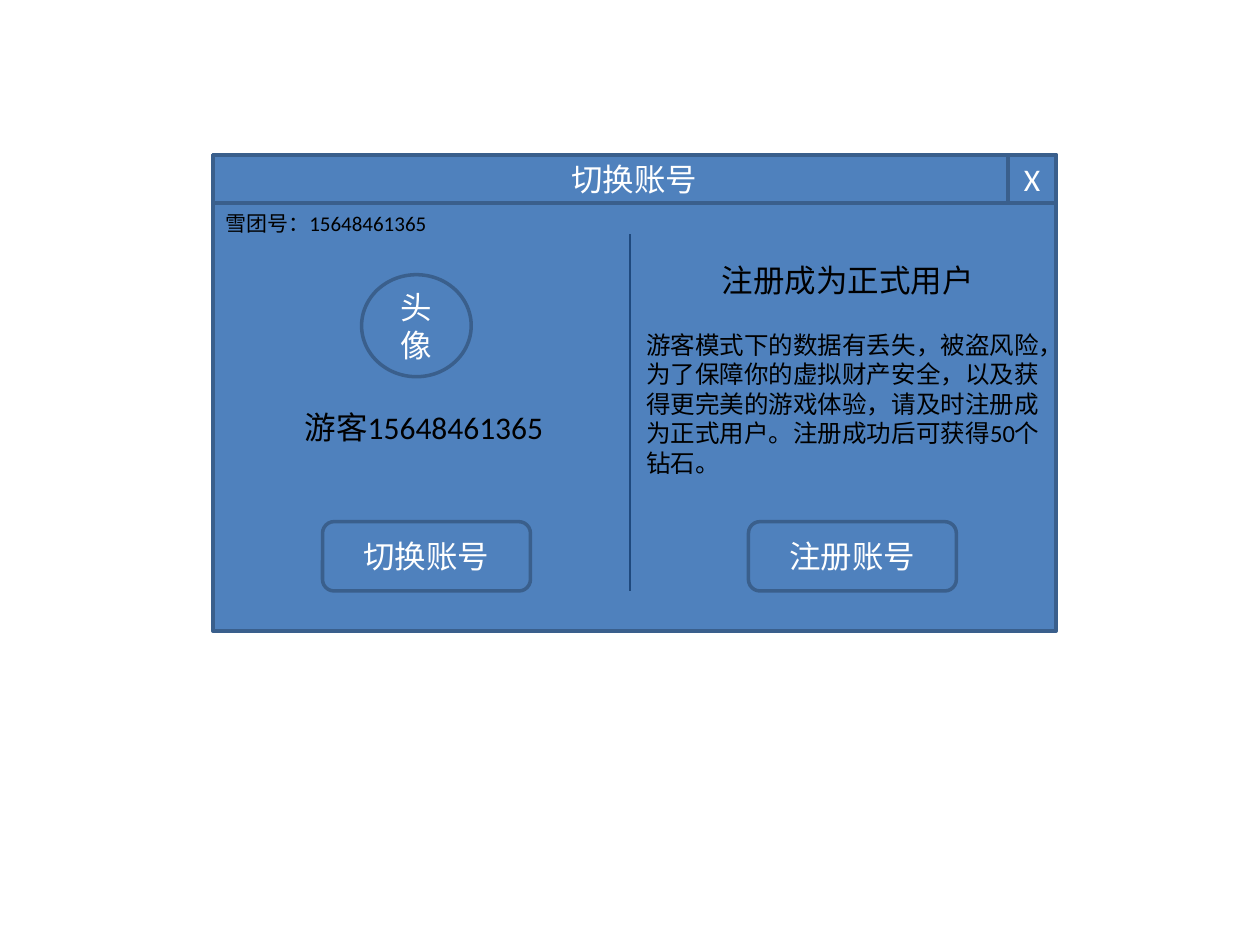
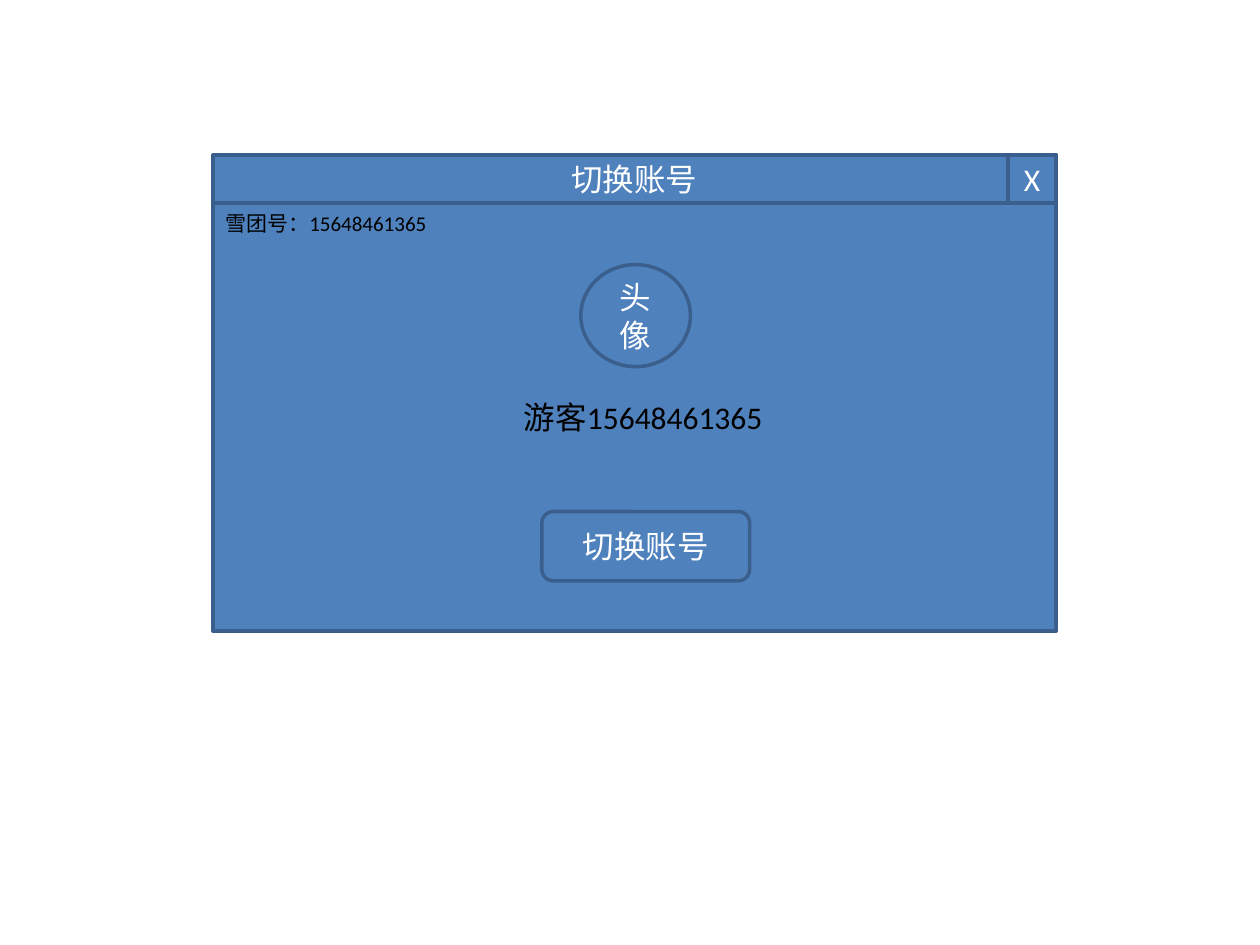
from dataclasses import dataclass

from pptx import Presentation
from pptx.dml.color import RGBColor
from pptx.enum.shapes import MSO_CONNECTOR, MSO_SHAPE
from pptx.enum.text import MSO_ANCHOR, MSO_AUTO_SIZE, PP_ALIGN
from pptx.oxml.ns import qn
from pptx.slide import Slide
from pptx.util import Inches, Pt
from lxml.etree import SubElement

FONT = "Calibri"
PANEL_BLUE = "4F81BD"
EDGE_BLUE = "3A5F8C"
DIVIDER_BLUE = "1F497D"
WHITE = "FFFFFF"
BLACK = "000000"

DIALOG_LEFT, DIALOG_TOP = 1.69, 1.23
DIALOG_WIDTH, DIALOG_HEIGHT = 6.69, 3.78
BAR_HEIGHT = 0.38
BUTTON_WIDTH, BUTTON_HEIGHT = 1.65, 0.55
SWITCH_ACCOUNT = "切换账号"
ACCOUNT_NUMBER = "15648461365"


@dataclass(frozen=True)
class Area:
    left: float
    top: float
    width: float
    height: float

    def lengths(self) -> list[Inches]:
        return [Inches(n) for n in (self.left, self.top, self.width, self.height)]


@dataclass(frozen=True)
class Panel:
    area: Area
    text: str = ""
    kind: MSO_SHAPE = MSO_SHAPE.RECTANGLE


@dataclass(frozen=True)
class Label:
    area: Area
    text: str
    size: int = 18
    wrap: bool = True


def color(value: str) -> RGBColor:
    return RGBColor.from_string(value)


def format_text(frame, size: int, ink: str) -> None:
    for para in frame.paragraphs:
        for span in para.runs:
            span.font.name = FONT
            span.font.size = Pt(size)
            span.font.color.rgb = color(ink)


def draw_panel(page: Slide, panel: Panel) -> None:
    box = page.shapes.add_shape(panel.kind, *panel.area.lengths())
    box.shadow.inherit = False
    box.fill.solid()
    box.fill.fore_color.rgb = color(PANEL_BLUE)
    box.line.color.rgb = color(EDGE_BLUE)
    box.line.width = Pt(2)
    if panel.text:
        frame = box.text_frame
        frame.text = panel.text
        frame.vertical_anchor = MSO_ANCHOR.MIDDLE
        frame.paragraphs[0].alignment = PP_ALIGN.CENTER
        format_text(frame, 18, WHITE)


def draw_label(page: Slide, label: Label) -> None:
    frame = page.shapes.add_textbox(*label.area.lengths()).text_frame
    frame.text = label.text
    frame.word_wrap = label.wrap
    frame.auto_size = MSO_AUTO_SIZE.SHAPE_TO_FIT_TEXT
    format_text(frame, label.size, BLACK)


def draw_divider(page: Slide, x: float, top: float, bottom: float) -> None:
    divider = page.shapes.add_connector(
        MSO_CONNECTOR.STRAIGHT, Inches(x), Inches(top), Inches(x), Inches(bottom))
    divider.line.color.rgb = color(DIVIDER_BLUE)
    divider.line.width = Pt(1.25)
    SubElement(divider._element.spPr, qn("a:effectLst"))


def draw_button(page: Slide, left: float, top: float, text: str) -> None:
    area = Area(left, top, BUTTON_WIDTH, BUTTON_HEIGHT)
    draw_panel(page, Panel(area, text, MSO_SHAPE.ROUNDED_RECTANGLE))


def draw_dialog(page: Slide) -> None:
    close_left = DIALOG_LEFT + DIALOG_WIDTH - BAR_HEIGHT
    panels = [
        Panel(Area(DIALOG_LEFT, DIALOG_TOP, DIALOG_WIDTH, DIALOG_HEIGHT)),
        Panel(Area(DIALOG_LEFT, DIALOG_TOP, DIALOG_WIDTH, BAR_HEIGHT), SWITCH_ACCOUNT),
        Panel(Area(close_left, DIALOG_TOP, BAR_HEIGHT, BAR_HEIGHT), "X"),
    ]
    for panel in panels:
        draw_panel(page, panel)
    draw_label(page, Label(Area(DIALOG_LEFT, 1.62, 3.31, 0.3), f"雪团号：{ACCOUNT_NUMBER}", 12))


def draw_guest_account(page: Slide, left: float, top: float) -> None:
    avatar = Area(left + 0.55, top, 0.87, 0.81)
    draw_panel(page, Panel(avatar, "头像", MSO_SHAPE.FLOWCHART_CONNECTOR))
    draw_label(page, Label(Area(left, top + 1.01, 2.28, 0.4), f"游客{ACCOUNT_NUMBER}"))
    draw_button(page, left + 0.24, top + 1.96, SWITCH_ACCOUNT)


def draw_registration(page: Slide) -> None:
    draw_divider(page, 5, 1.86, 4.69)
    draw_label(page, Label(Area(5.63, 2.02, 2.22, 0.4), "注册成为正式用户", wrap=False))
    draw_label(page, Label(
        Area(5.03, 2.57, 3.44, 1.28),
        "游客模式下的数据有丢失，被盗风险，为了保障你的虚拟财产安全，"
        "以及获得更完美的游戏体验，请及时注册成为正式用户。"
        "注册成功后可获得50个钻石。", 14))
    draw_button(page, 5.94, 4.14, "注册账号")


def main() -> None:
    deck = Presentation()
    deck.slide_width, deck.slide_height = Inches(10), Inches(7.5)
    blank = deck.slide_layouts[6]

    guest_page = deck.slides.add_slide(blank)
    draw_dialog(guest_page)
    draw_guest_account(guest_page, 2.32, 2.18)
    draw_registration(guest_page)

    member_page = deck.slides.add_slide(blank)
    draw_dialog(member_page)
    draw_guest_account(member_page, 4.06, 2.1)

    deck.save("out.pptx")


if __name__ == "__main__":
    main()
